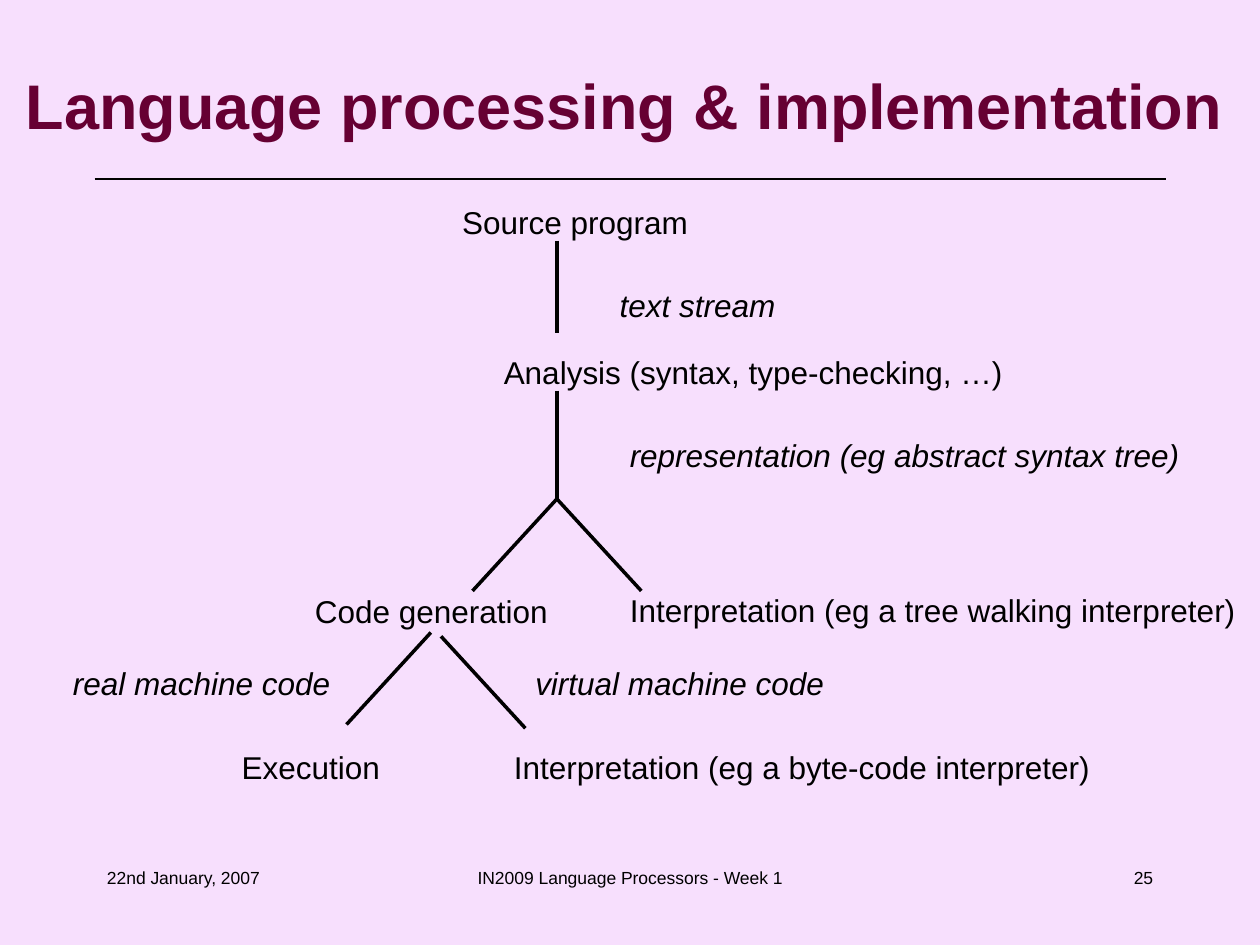
import pptx
import pptx.util
import pptx.dml.color
import pptx.enum.text
import pptx.enum.shapes
import pptx.oxml.ns
from dataclasses import dataclass
from lxml import etree

Inches, Pt = pptx.util.Inches, pptx.util.Pt
RGB = pptx.dml.color.RGBColor
ALIGN = pptx.enum.text.PP_ALIGN
ANCHOR = pptx.enum.text.MSO_ANCHOR
FIT = pptx.enum.text.MSO_AUTO_SIZE


@dataclass(frozen=True)
class Theme:
    background: RGB = RGB(0xF7, 0xDF, 0xFD)
    title: RGB = RGB(0x66, 0x00, 0x33)
    ink: RGB = RGB(0, 0, 0)
    font: str = "Arial"
    title_size: int = 36
    label_size: int = 18
    footer_size: int = 10
    rule_width: float = 0.75
    branch_width: float = 2


THEME = Theme()


def write(sp, text, size, color=THEME.ink, align=ALIGN.LEFT, **extra):
    tf = sp.text_frame
    p = tf.paragraphs[0]
    p.alignment = align
    r = p.add_run()
    r.text = text
    formats = {"name": THEME.font, "size": Pt(size), "bold": False, **extra}
    for key, value in formats.items():
        setattr(r.font, key, value)
    r.font.color.rgb = color
    return tf


def add_line(slide, start, end, width):
    kind = pptx.enum.shapes.MSO_CONNECTOR.STRAIGHT
    line = slide.shapes.add_connector(kind, *map(Inches, (*start, *end)))
    line.line.color.rgb = THEME.ink
    line.line.width = Pt(width)
    etree.SubElement(line._element.spPr, pptx.oxml.ns.qn("a:effectLst"))


def add_title(slide, left, top, width, height):
    sp = slide.shapes.title
    box = dict(left=left, top=top, width=width, height=height)
    for key, value in box.items():
        setattr(sp, key, Inches(value))
    tf = write(sp, "Language processing & implementation", THEME.title_size,
               THEME.title, ALIGN.CENTER, bold=True)
    tf.word_wrap = True
    tf.auto_size = FIT.NONE
    tf.vertical_anchor = ANCHOR.MIDDLE
    # Rule below the title
    add_line(slide, (0.75, top + 1.09), (9.25, top + 1.09), THEME.rule_width)


def add_diagram(slide, left, top):
    # Trunk and forks: start point, then horizontal and vertical run
    trunk, fork_y, dx, dy = 3.94, 2.4, 0.67, 0.73
    branches = [
        (trunk, 0.35, 0, dy),
        (trunk, 1.54, 0, fork_y - 1.54),
        (trunk, fork_y, -dx, dy),
        (trunk, fork_y, dx, dy),
        (2.94, 3.46, -dx, dy),
        (3.02, 3.49, dx, dy),
    ]
    for x, y, run, drop in branches:
        x, y = left + x, top + y
        add_line(slide, (x, y), (x + run, y + drop), THEME.branch_width)

    # Stages are upright, the forms passed between them italic
    stages = [
        ("Source program", 3.09, 0, 1.99),
        ("Analysis (syntax, type-checking, …)", 3.42, 1.19, 4.16),
        ("Code generation", 1.92, 3.09, 2.05),
        ("Interpretation (eg a tree walking interpreter)", 4.42, 3.08, 5.01),
        ("Execution", 1.34, 4.33, 1.3),
        ("Interpretation (eg a byte-code interpreter)", 3.5, 4.33, 4.77),
    ]
    forms = [
        ("text stream", 4.34, 0.66, 1.44),
        ("representation (eg abstract syntax tree)", 4.42, 1.85, 4.57),
        ("virtual machine code", 3.67, 3.66, 2.5),
        ("real machine code", 0, 3.66, 2.25),
    ]
    for labels, italic in ((stages, False), (forms, True)):
        for text, x, y, width in labels:
            sp = slide.shapes.add_textbox(
                *map(Inches, (left + x, top + y, width, 0.4)))
            tf = write(sp, text, THEME.label_size, italic=italic)
            tf.word_wrap = False
            tf.auto_size = FIT.SHAPE_TO_FIT_TEXT


def add_footer(slide, left, top, width, height):
    side, middle = 2.08, 3.17
    parts = [
        ("22nd January, 2007", 0, side, ALIGN.LEFT),
        ("IN2009 Language Processors - Week 1", (width - middle) / 2, middle, ALIGN.CENTER),
        ("25", width - side, side, ALIGN.RIGHT),
    ]
    for text, x, part_width, align in parts:
        sp = slide.shapes.add_textbox(
            *map(Inches, (left + x, top, part_width, height)))
        write(sp, text, THEME.footer_size, align=align).word_wrap = True


def main():
    prs = pptx.Presentation()
    prs.slide_width, prs.slide_height = Inches(10), Inches(7.5)
    slide = prs.slides.add_slide(prs.slide_layouts[5])
    fill = slide.background.fill
    fill.solid()
    fill.fore_color.rgb = THEME.background

    add_title(slide, 0.08, 0.33, 9.75, 1)
    add_diagram(slide, 0.48, 1.56)
    add_footer(slide, 0.75, 6.83, 8.5, 0.5)
    prs.save("out.pptx")


if __name__ == "__main__":
    main()
